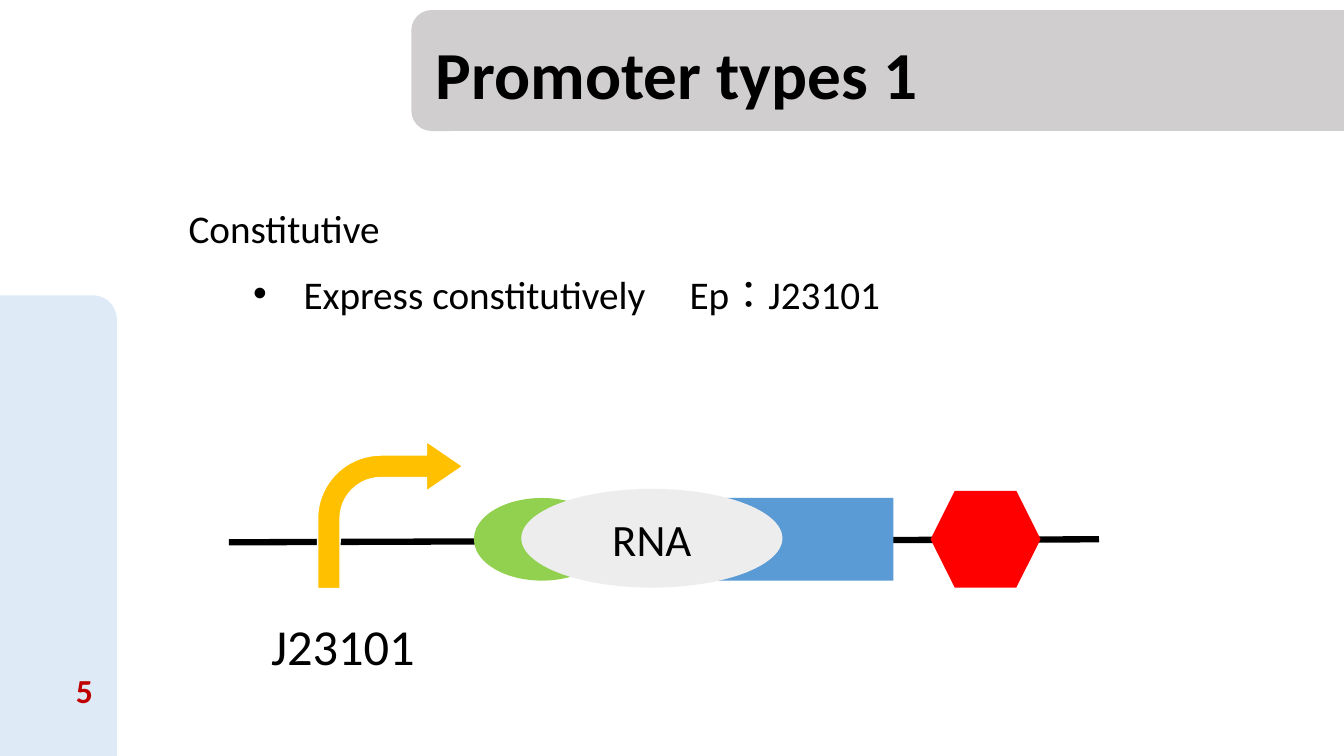
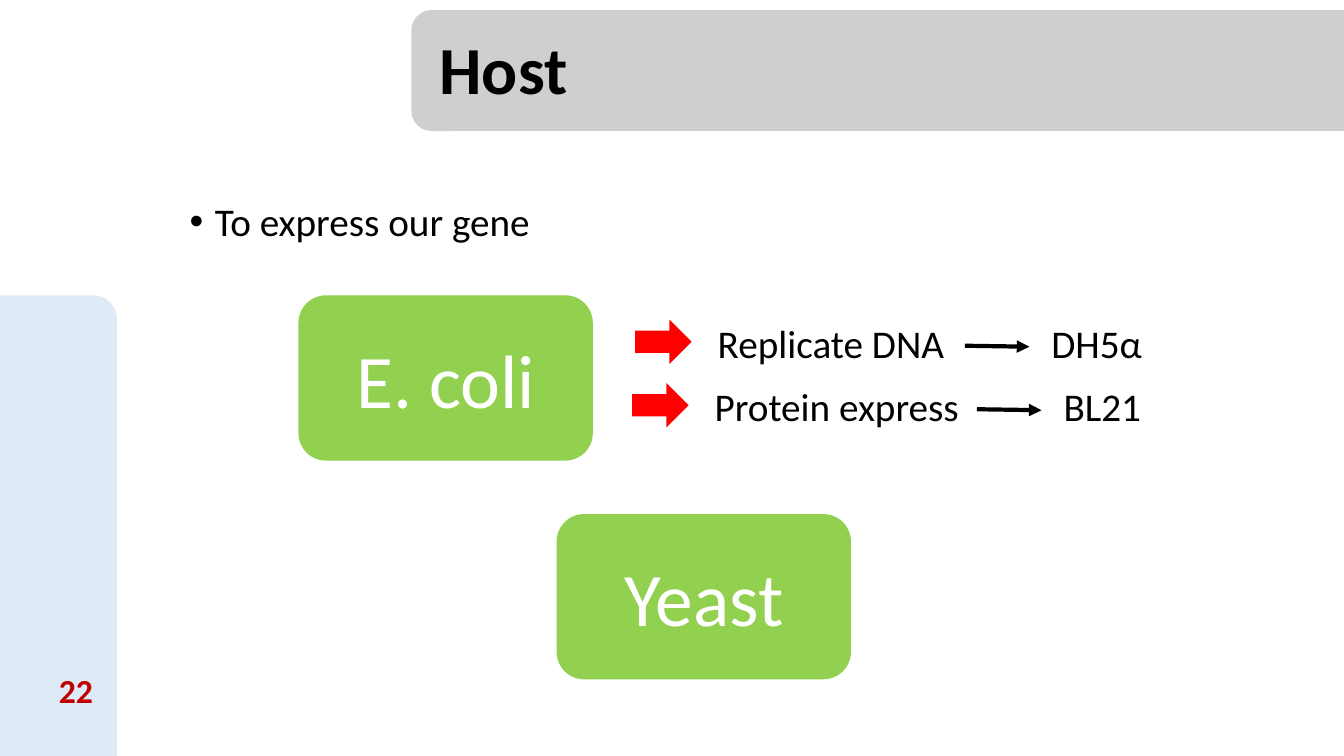
"""Build two slides on promoter types and expression hosts."""
from lxml.etree import SubElement
from pptx import Presentation
from pptx.dml.color import RGBColor
from pptx.enum.shapes import MSO_CONNECTOR, MSO_SHAPE as SHAPE
from pptx.enum.text import MSO_ANCHOR as ANCHOR, MSO_AUTO_SIZE, PP_ALIGN as ALIGN
from pptx.oxml.ns import qn
from pptx.util import Inches, Pt

FONT = "Calibri"
COLORS = {
    "black": "000000", "white": "FFFFFF", "title band": "D0CECE",
    "side band": "DEEBF7", "number": "C00000", "promoter": "FFC000",
    "green": "92D050", "gene": "5B9BD5", "red": "FF0000", "rna": "EDEDED",
}
BANDS = [
    ("title band", (4.08, 0.1, 9.52, 1.2)),
    ("side band", (-0.27, 2.93, 1.43, 4.84)),
]
NUMBER_AREA = (0.02, 6.65, 1, 0.4)
GENE_PARTS = [
    (SHAPE.BENT_ARROW, (3.15, 4.38, 1.44, 1.46), "promoter"),
    (SHAPE.OVAL, (4.7, 4.94, 1.35, 0.82), "green"),
    (SHAPE.RECTANGLE, (6.58, 4.94, 2.28, 0.82), "gene"),
    (SHAPE.HEXAGON, (9.23, 4.87, 1.09, 0.96), "red"),
    (SHAPE.OVAL, (5.17, 4.85, 2.59, 0.98), "rna"),
]
BENT_ARROW_ADJUSTMENTS = (0.155, 0.171, 0.25, 0.438)
HOSTS = [("E. coli", 2.96, 2.93), ("Yeast", 5.52, 5.1)]
HOST_SIZE = (2.92, 1.64)
USES = [
    ("Replicate DNA", "DH5α", 6.3, 3.17, 3.27),
    ("Protein express", "BL21", 6.27, 3.8, 3.42),
]
LABEL_OFFSET = 0.72
ARROW_LENGTH = 0.64
STRAIN_GAP = 0.12


def color(name):
    return RGBColor.from_string(COLORS[name])


def inches(values):
    return [Inches(value) for value in values]


def write(frame, text, size=28, ink="black", bold=False, align=ALIGN.LEFT,
          anchor=ANCHOR.TOP, spacing=1.0, before=0, margin=0, hang=0, lang="en-US"):
    """Add a formatted paragraph; a hanging indent gives it a bullet."""
    frame.word_wrap = True
    frame.auto_size = MSO_AUTO_SIZE.NONE
    frame.vertical_anchor = anchor
    para = frame.add_paragraph() if frame.text else frame.paragraphs[0]
    para.alignment = align
    para.line_spacing = spacing
    para.space_before = Pt(before)
    span = para.add_run()
    span.text = text
    span.font.name = FONT
    span.font.size = Pt(size)
    span.font.bold = bold
    span.font.color.rgb = color(ink)
    span._r.get_or_add_rPr().set("lang", lang)
    props = para._p.get_or_add_pPr()
    props.set("marL", str(Inches(margin)))
    props.set("indent", str(Inches(-hang)))
    if hang:
        SubElement(props, qn("a:buFont"), typeface="Arial")
        SubElement(props, qn("a:buChar"), char="•")
    else:
        SubElement(props, qn("a:buNone"))


def add_part(page, kind, area, fill):
    part = page.shapes.add_shape(kind, *inches(area))
    part.shadow.inherit = False
    part.fill.solid()
    part.fill.fore_color.rgb = color(fill)
    part.line.fill.background()
    return part


def add_text(page, area, text, **style):
    box = page.shapes.add_textbox(*inches(area))
    write(box.text_frame, text, **style)


def add_line(page, start, end, width, arrow=False):
    line = page.shapes.add_connector(MSO_CONNECTOR.STRAIGHT, *inches(start + end))
    line.line.color.rgb = color("black")
    line.line.width = Pt(width)
    if arrow:
        SubElement(line.line._get_or_add_ln(), qn("a:tailEnd"), type="triangle")
    SubElement(line.element.spPr, qn("a:effectLst"))


def place(holder, area):
    holder.left, holder.top, holder.width, holder.height = inches(area)
    return holder.text_frame


def add_page(deck, layout, title, title_spot, number, body_area):
    """Add a slide with title and number; return it with its body frame."""
    page = deck.slides.add_slide(layout)
    write(place(page.shapes.title, (*title_spot, 11.5, 1.45)), title, size=48,
          bold=True, anchor=ANCHOR.MIDDLE, spacing=0.9)
    add_text(page, NUMBER_AREA, number, size=24, ink="number", bold=True,
             align=ALIGN.RIGHT, anchor=ANCHOR.MIDDLE)
    return page, place(page.placeholders[1], body_area)


def add_bands(page, layout):
    """Move the bands to the layout, behind its placeholders."""
    for index, (fill, area) in enumerate(BANDS):
        band = add_part(page, SHAPE.ROUNDED_RECTANGLE, area, fill)
        layout.shapes.element.insert(2 + index, band.element)


def build_promoter(deck, layout):
    page, body = add_page(deck, layout, "Promoter types 1", (4.22, 0.05), "5",
                          (1.77, 1.98, 4.9, 1.22))
    add_bands(page, layout)
    write(body, "Constitutive")
    write(body, "Express constitutively", before=13, margin=1.14, hang=0.5)
    add_text(page, (6.74, 2.63, 4.11, 0.57), "Ep：J23101", lang="zh-TW")
    add_line(page, (2.27, 5.38), (10.9, 5.35), 4.5)
    parts = [add_part(page, *part) for part in GENE_PARTS]
    promoter, rna = parts[0], parts[-1]
    for index, value in enumerate(BENT_ARROW_ADJUSTMENTS):
        promoter.adjustments[index] = value
    promoter.line.color.rgb = color("white")
    promoter.line.width = Pt(1)
    write(rna.text_frame, "RNA", size=32, align=ALIGN.CENTER, anchor=ANCHOR.MIDDLE)
    add_text(page, (2.59, 6.05, 1.85, 0.71), "J23101", size=36)


def build_host(deck, layout):
    page, body = add_page(deck, layout, "Host", (4.26, 0), "22",
                          (1.78, 1.96, 11.5, 0.67))
    write(body, "To express our gene", spacing=0.9, before=10, margin=0.25, hang=0.25)
    for name, left, top in HOSTS:
        host = add_part(page, SHAPE.ROUNDED_RECTANGLE, (left, top, *HOST_SIZE), "green")
        write(host.text_frame, name, size=54, ink="white", align=ALIGN.CENTER,
              anchor=ANCHOR.MIDDLE)
    for use, strain, left, top, reach in USES:
        add_part(page, SHAPE.RIGHT_ARROW, (left, top, 0.56, 0.44), "red")
        start = left + reach
        end = start + ARROW_LENGTH
        labels = [(use, left + LABEL_OFFSET, reach - LABEL_OFFSET),
                  (strain, end + STRAIN_GAP, 1.4)]
        for text, label_left, width in labels:
            add_text(page, (label_left, top, width, 0.67), text, spacing=0.9, before=10)
        add_line(page, (start, top + 0.26), (end, top + 0.27), 3, arrow=True)


def main():
    deck = Presentation()
    deck.slide_width, deck.slide_height = inches((13.33, 7.5))
    layout = deck.slide_layouts[1]
    build_promoter(deck, layout)
    build_host(deck, layout)
    deck.save("out.pptx")


if __name__ == "__main__":
    main()
